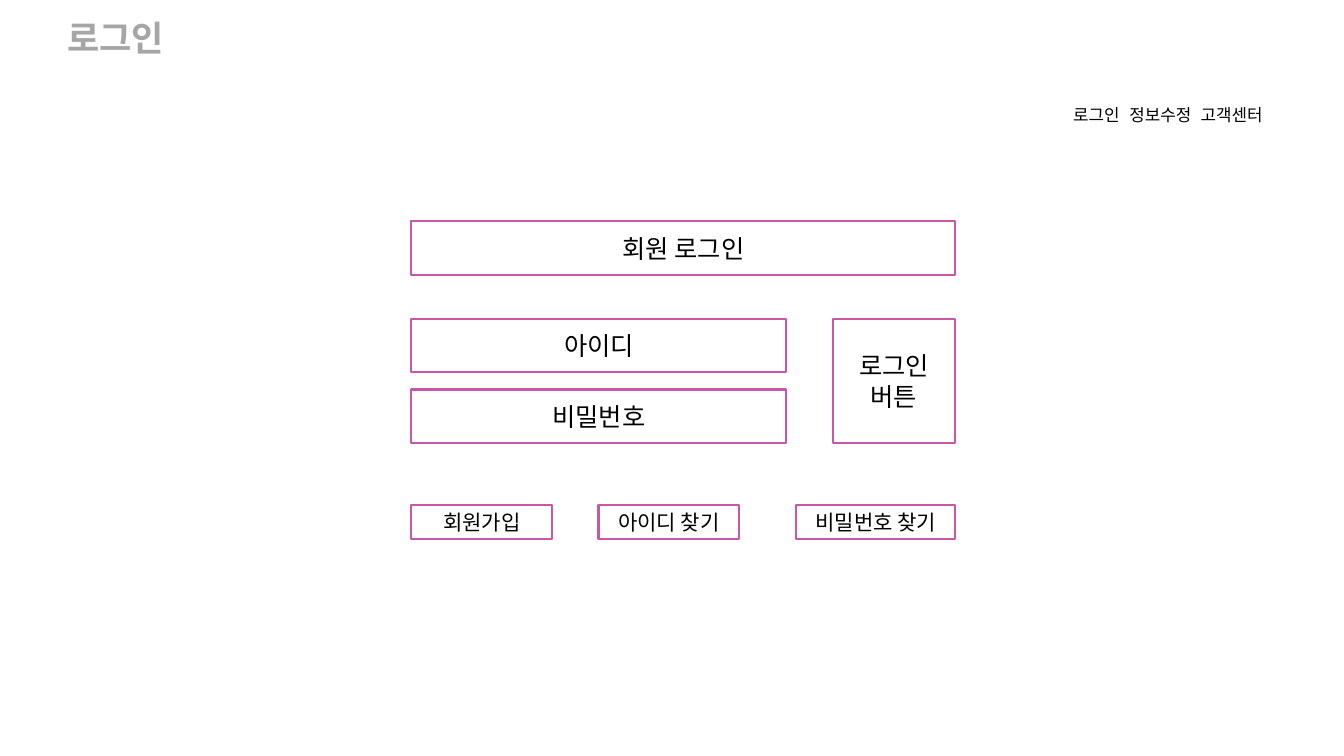
"""Build the login page wireframe slide."""
from dataclasses import dataclass

from lxml.etree import SubElement
from pptx import Presentation
from pptx.dml.color import RGBColor
from pptx.enum.shapes import MSO_SHAPE as Preset
from pptx.enum.text import MSO_ANCHOR as Anchor, MSO_AUTO_SIZE as AutoSize, PP_ALIGN as Align
from pptx.oxml.ns import qn
from pptx.slide import Slide
from pptx.util import Cm, Pt

COLORS = {"paper": "FFFFFF", "outline": "CA56A7", "ink": "000000", "title": "A6A6A6"}
FONT = "Arial"
LEFT, RIGHT = 10.33, 23.99
FIELD_HEIGHT, FIELD_WIDTH = 1.35, 9.42
ID_TOP, PASSWORD_TOP = 8.0, 9.78
BUTTON_WIDTH = 3.08
LINK_TOP, LINK_HEIGHT = 12.67, 0.87


@dataclass(frozen=True)
class Box:
    """A labelled outlined box, measured in centimetres and points."""
    label: str
    left: float
    top: float
    width: float
    height: float
    size: float = 18


@dataclass(frozen=True)
class Link:
    """A small box under the login form."""
    label: str
    left: float
    width: float


LINKS = [
    Link("회원가입", LEFT, 3.54),
    Link("아이디 찾기", 15.03, 3.54),
    Link("비밀번호 찾기", RIGHT - 3.99, 3.99),
]
BOXES = [
    Box("회원 로그인", LEFT, 5.56, RIGHT - LEFT, FIELD_HEIGHT),
    Box("로그인 버튼", RIGHT - BUTTON_WIDTH, ID_TOP, BUTTON_WIDTH,
        PASSWORD_TOP + FIELD_HEIGHT - ID_TOP),
    Box("아이디", LEFT, ID_TOP, FIELD_WIDTH, FIELD_HEIGHT),
    Box("비밀번호", LEFT, PASSWORD_TOP, FIELD_WIDTH, FIELD_HEIGHT),
    *(Box(link.label, link.left, LINK_TOP, link.width, LINK_HEIGHT, 15) for link in LINKS),
]
MENU = ["로그인", "정보수정", "고객센터"]
MENU_STOPS = [1.41, 3.2]


def rgb(name: str) -> RGBColor:
    """Return a named colour."""
    return RGBColor.from_string(COLORS[name])


def style_font(paragraph, size: float, color: str = "ink", bold: bool = False) -> None:
    """Set the font of a whole paragraph."""
    font = paragraph.font
    font.name, font.size, font.bold = FONT, Pt(size), bold
    font.color.rgb = rgb(color)


def fill_label(frame, label: str, size: float, color: str = "ink", bold: bool = False) -> None:
    """Write one centred label into a text frame."""
    frame.word_wrap = True
    frame.auto_size = AutoSize.NONE
    frame.vertical_anchor = Anchor.MIDDLE
    paragraph = frame.paragraphs[0]
    paragraph.text = label
    paragraph.alignment = Align.CENTER
    style_font(paragraph, size, color, bold)


def add_title(slide: Slide) -> None:
    """Place the page title in the top left corner."""
    title = slide.shapes.title
    title.left, title.top, title.width, title.height = Cm(0), Cm(0), Cm(5.82), Cm(1.86)
    title.fill.solid()
    title.fill.fore_color.rgb = rgb("paper")
    fill_label(title.text_frame, "로그인", 25, "title", bold=True)


def add_box(slide: Slide, box: Box) -> None:
    """Draw one outlined box with its label."""
    panel = slide.shapes.add_shape(
        Preset.RECTANGLE, Cm(box.left), Cm(box.top), Cm(box.width), Cm(box.height))
    panel.shadow.inherit = False
    panel.fill.solid()
    panel.fill.fore_color.rgb = rgb("paper")
    panel.line.color.rgb = rgb("outline")
    panel.line.width = Pt(1.5)
    fill_label(panel.text_frame, box.label, box.size)


def add_menu(slide: Slide) -> None:
    """Write the top right menu on tab stops."""
    frame = slide.shapes.add_textbox(Cm(25.91), Cm(2.51), Cm(6.2), Cm(0.76)).text_frame
    frame.word_wrap = True
    frame.margin_left, frame.margin_right = Cm(1.04), Cm(0)
    paragraph = frame.paragraphs[0]
    paragraph.text = "\t".join(MENU)
    paragraph.alignment = Align.LEFT
    stops = SubElement(paragraph._p.get_or_add_pPr(), qn("a:tabLst"))
    for stop in MENU_STOPS:
        SubElement(stops, qn("a:tab"), pos=str(Cm(stop)), algn="l")
    style_font(paragraph, 12)


def main() -> None:
    """Build and save the slide."""
    deck = Presentation()
    deck.slide_width, deck.slide_height = Cm(33.75), Cm(18.98)
    slide = deck.slides.add_slide(deck.slide_layouts[5])
    add_title(slide)
    for box in BOXES:
        add_box(slide, box)
    add_menu(slide)
    deck.save("out.pptx")


if __name__ == "__main__":
    main()
